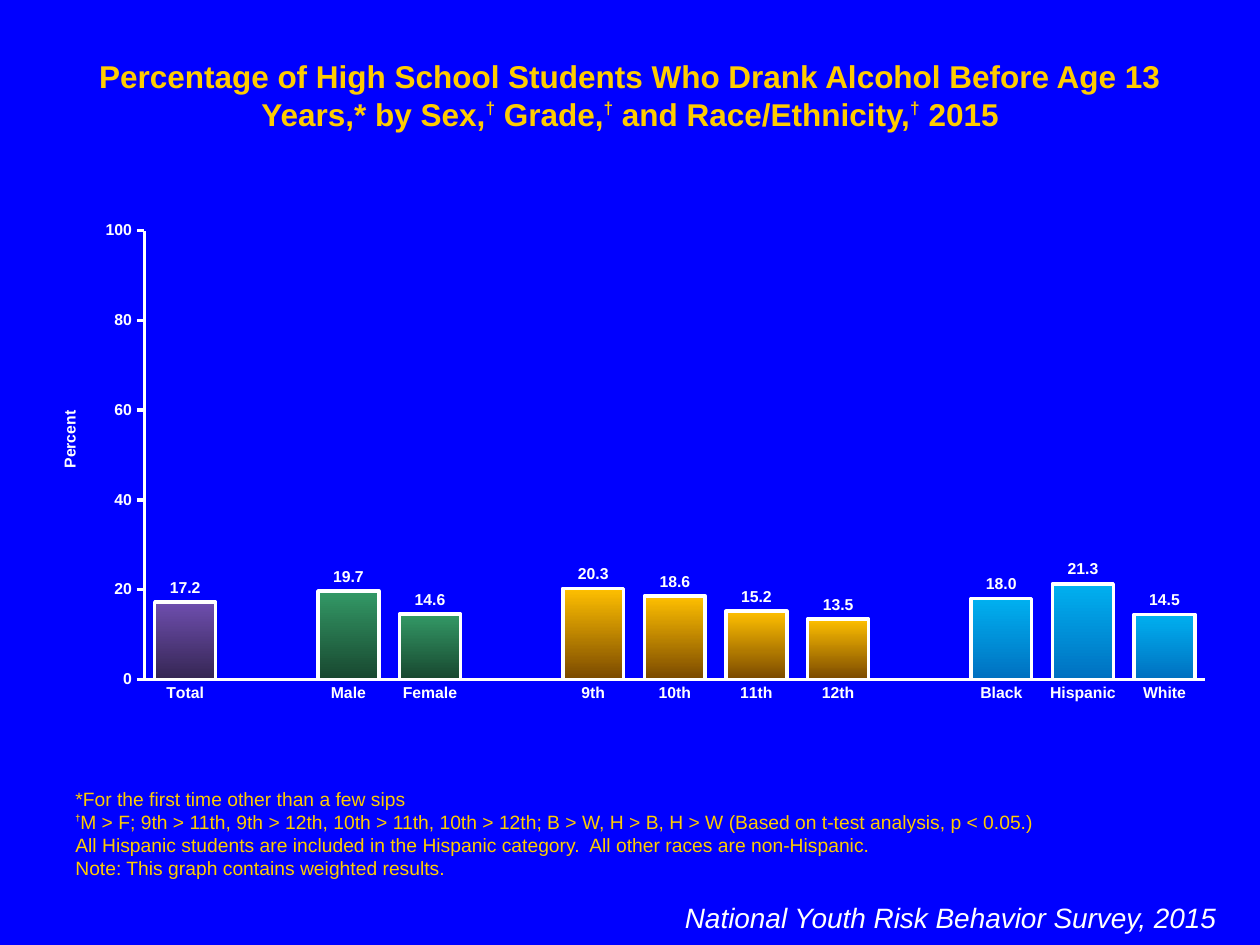
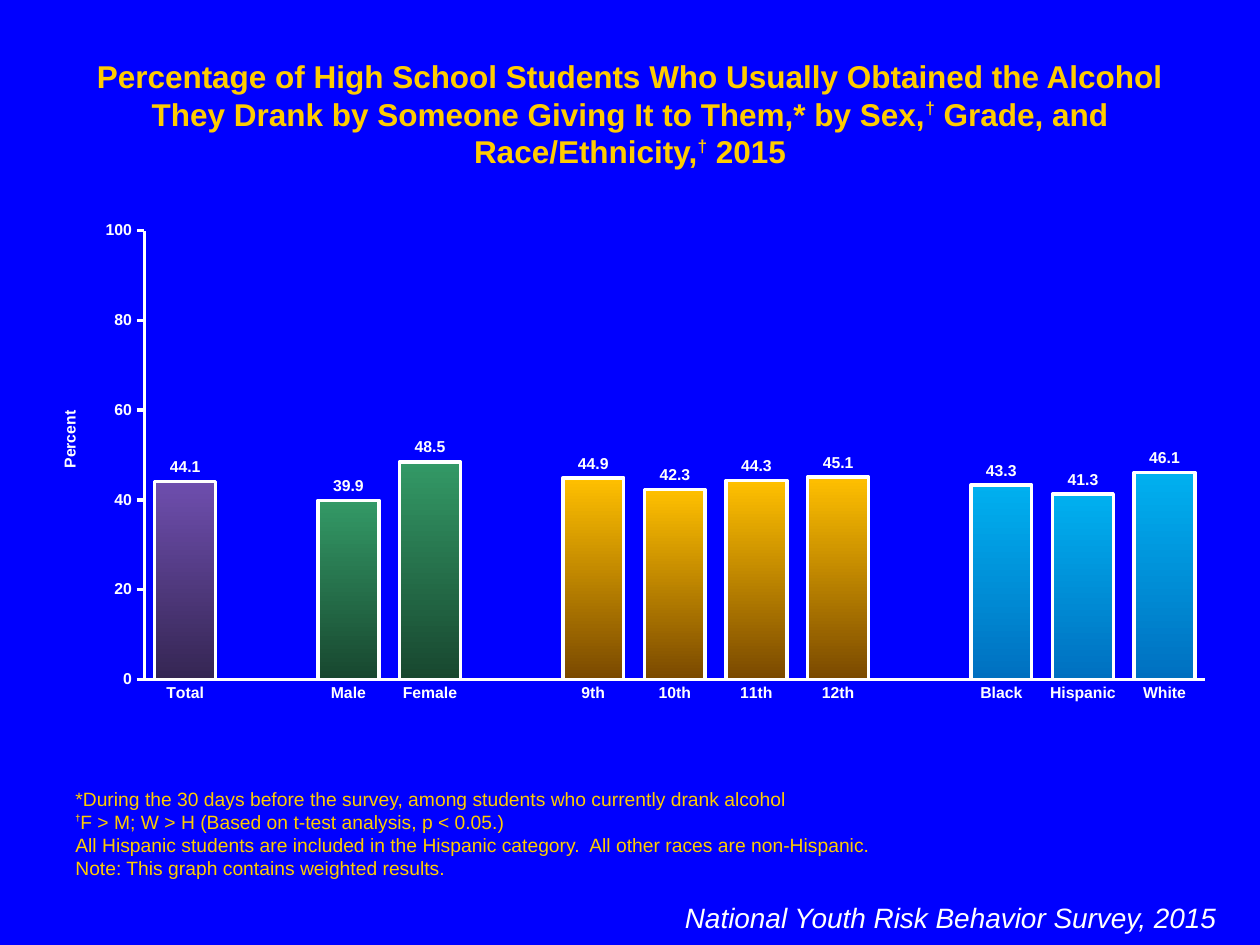
import pptx
import pptx.chart.data
import pptx.dml.color
import pptx.enum.chart
import pptx.enum.text
import pptx.oxml.ns
import pptx.oxml.xmlchemy
import pptx.util

Cm, Pt = pptx.util.Cm, pptx.util.Pt
ALIGN = pptx.enum.text.PP_ALIGN
ANCHOR = pptx.enum.text.MSO_ANCHOR
qn = pptx.oxml.ns.qn
make = pptx.oxml.xmlchemy.OxmlElement

BLUE, GOLD, WHITE = "0000FF", "FFCC00", "FFFFFF"
FONT = "Arial"
DAGGER = "†"
WIDE, HIGH = Cm(24.13), Cm(10.11)  # chart size
FOOTER = "National Youth Risk Behavior Survey, 2015"
NOTES = [
    "All Hispanic students are included in the Hispanic category.  All other races are non-Hispanic.",
    "Note: This graph contains weighted results.",
]

# Bar groups: top colour, bottom colour, labels
GROUPS = [
    ("6E4EAE", "352653", ["Total"]),
    ("339966", "18472F", ["Male", "Female"]),
    ("FFC000", "7A4900", ["9th", "10th", "11th", "12th"]),
    ("00B0F0", "0070C0", ["Black", "Hispanic", "White"]),
]

SLIDES = [
    {
        "title": "Percentage of High School Students Who Drank Alcohol Before Age 13 Years,* "
                 "by Sex,† Grade,† and Race/Ethnicity,† 2015",
        "notes": [
            "*For the first time other than a few sips",
            "†M > F; 9th > 11th, 9th > 12th, 10th > 11th, 10th > 12th; "
            "B > W, H > B, H > W (Based on t-test analysis, p < 0.05.)",
        ],
        "values": [[17.2], [19.7, 14.6], [20.3, 18.6, 15.2, 13.5], [18.0, 21.3, 14.5]],
    },
    {
        "title": "Percentage of High School Students Who Usually Obtained the Alcohol They Drank "
                 "by Someone Giving It to Them,* by Sex,† Grade, and Race/Ethnicity,† 2015",
        "notes": [
            "*During the 30 days before the survey, among students who currently drank alcohol",
            "†F > M; W > H (Based on t-test analysis, p < 0.05.)",
        ],
        "values": [[44.1], [39.9, 48.5], [44.9, 42.3, 44.3, 45.1], [43.3, 41.3, 46.1]],
    },
]


def rgb(code):
    return pptx.dml.color.RGBColor.from_string(code)


def style(font, size, color, bold=False, italic=False):
    font.name, font.size = FONT, Pt(size)
    font.bold, font.italic = bold, italic
    font.color.rgb = rgb(color)


def place(shape, left, top, width, height):
    shape.left, shape.top = Cm(left), Cm(top)
    shape.width, shape.height = Cm(width), Cm(height)


def write(para, text, size, mark, lift, bold=False):
    """Write gold text with each dagger raised by lift percent at size mark."""
    for i, part in enumerate(text.split(DAGGER)):
        if i:
            run = para.add_run()
            run.text = DAGGER
            style(run.font, mark, GOLD, bold=True)
            run._r.get_or_add_rPr().set("baseline", str(lift * 1000))
        if part:
            run = para.add_run()
            run.text = part
            style(run.font, size, GOLD, bold)


def add_title(slide, text):
    title = slide.shapes.title
    place(title, 1.27, 1.02, 22.86, 1.02)
    frame = title.text_frame
    frame.word_wrap = True
    frame.auto_size = pptx.enum.text.MSO_AUTO_SIZE.NONE
    frame.vertical_anchor = ANCHOR.TOP
    para = frame.paragraphs[0]
    para.alignment = ALIGN.CENTER
    write(para, text, 18, 17, 40, bold=True)


def add_box(slide, left, top, width, height):
    box = slide.shapes.add_textbox(Cm(left), Cm(top), Cm(width), Cm(height))
    box.text_frame.word_wrap = True
    return box.text_frame


def add_notes(slide, lines):
    frame = add_box(slide, 1.27, 15.72, 22.86, 2.14)
    frame.vertical_anchor = ANCHOR.BOTTOM
    for i, line in enumerate(lines):
        para = frame.add_paragraph() if i else frame.paragraphs[0]
        write(para, line, 11, 9, 50)


def add_footer(slide):
    para = add_box(slide, 10.8, 18.03, 13.97, 1.63).paragraphs[0]
    para.text = FOOTER
    para.alignment = ALIGN.RIGHT
    style(para.runs[0].font, 16, WHITE, italic=True)


def set_layout(parent, left, top, size=None):
    """Fix the place of a chart part, and its inner size if one is given."""
    layout = parent.find(qn("c:layout"))
    if layout is None:
        layout = make("c:layout")
        parent.insert(0, layout)
    manual = make("c:manualLayout")
    layout.append(manual)
    items = {"layoutTarget": "inner"} if size else {}
    items.update(xMode="edge", yMode="edge", x=Cm(left) / WIDE, y=Cm(top) / HIGH)
    if size:
        items.update(w=Cm(size[0]) / WIDE, h=Cm(size[1]) / HIGH)
    for name, value in items.items():
        item = make("c:" + name)
        item.set("val", str(value))
        manual.append(item)


def set_axes(chart):
    marks = pptx.enum.chart.XL_TICK_MARK
    cats, vals = chart.category_axis, chart.value_axis
    for axis, mark in ((cats, marks.NONE), (vals, marks.OUTSIDE)):
        axis.has_major_gridlines = False
        axis.major_tick_mark, axis.minor_tick_mark = mark, marks.NONE
        axis.format.line.color.rgb = rgb(WHITE)
        axis.format.line.width = Pt(2)
        style(axis.tick_labels.font, 9, WHITE, bold=True)
    vals.minimum_scale, vals.maximum_scale, vals.major_unit = 0, 100, 20
    vals.tick_labels.number_format = "General"
    vals.tick_labels.number_format_is_linked = False
    title = vals.axis_title
    frame = title.text_frame
    frame.text = "Percent"
    style(frame.paragraphs[0].runs[0].font, 9, WHITE, bold=True)
    frame._txBody.find(qn("a:bodyPr")).set("rot", "-5400000")
    set_layout(title._element, 0.5, 3.93)


def add_bars(slide, values):
    names, nums, fills = [], [], []
    for (top, low, labels), group in zip(GROUPS, values):
        if names:
            names.append("")
            nums.append(None)
            fills.append(None)
        names += labels
        nums += group
        fills += [(top, low)] * len(labels)

    data = pptx.chart.data.CategoryChartData(number_format="#,##0.0")
    data.categories = names
    data.add_series("Series 1", nums)
    kind = pptx.enum.chart.XL_CHART_TYPE.COLUMN_CLUSTERED
    chart = slide.shapes.add_chart(kind, Cm(0.64), Cm(4.29), WIDE, HIGH, data).chart
    chart.has_title = chart.has_legend = False
    style(chart.font, 18, WHITE)
    set_axes(chart)
    set_layout(chart._chartSpace.chart.plotArea, 2.27, 0.36, (21.39, 9.05))

    plot = chart.plots[0]
    plot.gap_width, plot.overlap, plot.vary_by_categories = 34, 100, False
    plot.has_data_labels = True
    labels = plot.data_labels
    labels.show_value = True
    labels.number_format, labels.number_format_is_linked = "#,##0.0", False
    labels.position = pptx.enum.chart.XL_LABEL_POSITION.OUTSIDE_END
    style(labels.font, 9, WHITE, bold=True)

    bars = plot.series[0]
    bars.invert_if_negative = False
    for i, colors in enumerate(fills):
        if colors:
            look = bars.points[i].format
            look.line.color.rgb = rgb(WHITE)
            look.line.width = Pt(2)
            look.fill.gradient()
            look.fill.gradient_angle = 270
            for stop, color in zip(look.fill.gradient_stops, colors):
                stop.color.rgb = rgb(color)


def main():
    deck = pptx.Presentation()
    deck.slide_width, deck.slide_height = Cm(25.4), Cm(19.05)
    back = deck.slide_master.background.fill
    back.solid()
    back.fore_color.rgb = rgb(BLUE)
    for item in SLIDES:
        slide = deck.slides.add_slide(deck.slide_layouts[5])
        add_title(slide, item["title"])
        add_notes(slide, item["notes"] + NOTES)
        add_footer(slide)
        add_bars(slide, item["values"])
    deck.save("out.pptx")


if __name__ == "__main__":
    main()
